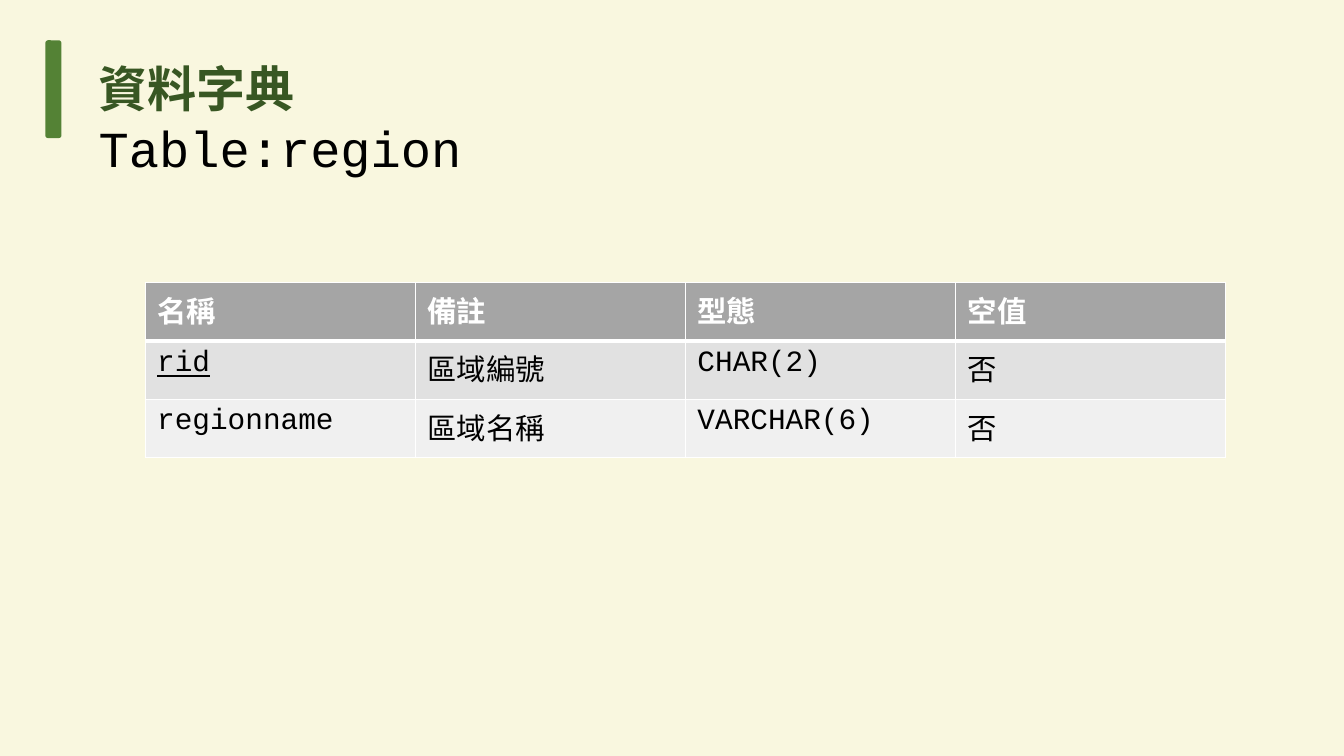
"""Build the data dictionary slide for the region table."""
from dataclasses import dataclass

from lxml import etree
from pptx import Presentation
from pptx.dml.color import RGBColor
from pptx.enum.shapes import MSO_SHAPE
from pptx.enum.text import MSO_ANCHOR, MSO_AUTO_SIZE
from pptx.oxml.ns import qn
from pptx.util import Pt

ROUNDED = MSO_SHAPE.ROUNDED_RECTANGLE
TOP = MSO_ANCHOR.TOP
NO_AUTOFIT = MSO_AUTO_SIZE.NONE

HEADINGS = ("名稱", "備註", "型態", "空值")
FIELDS = (
    ("rid", "區域編號", "CHAR(2)", "否"),
    ("regionname", "區域名稱", "VARCHAR(6)", "否"),
)
PRIMARY_KEY = "rid"


@dataclass(frozen=True)
class Theme:
    font: str = "Courier New"
    background: str = "F9F7DF"
    accent: str = "548235"
    heading: str = "385723"
    ink: str = "000000"
    white: str = "FFFFFF"
    header_fill: str = "A5A5A5"
    bands: tuple = ("E1E1E1", "F0F0F0")
    heading_size: int = 35
    subtitle_size: int = 36
    cell_size: int = 21
    rule: int = 1
    header_rule: int = 3


class SlideBuilder:
    def __init__(self, slide, theme):
        self.slide = slide
        self.theme = theme
        self.paint(slide.background, theme.background)

    def paint(self, target, color):
        target.fill.solid()
        target.fill.fore_color.rgb = RGBColor.from_string(color)

    def style(self, run, size, color, bold=False):
        run.font.name = self.theme.font
        run.font.size = Pt(size)
        run.font.bold = bold
        run.font.color.rgb = RGBColor.from_string(color)

    def title(self, heading, subtitle, left, top, width, height):
        box = self.slide.shapes.add_textbox(Pt(left), Pt(top), Pt(width), Pt(height))
        frame = box.text_frame
        frame.word_wrap = False
        frame.auto_size = NO_AUTOFIT
        frame.vertical_anchor = TOP
        frame.text = f"{heading}\v{subtitle}"
        heading_run, subtitle_run = frame.paragraphs[0].runs
        self.style(heading_run, self.theme.heading_size, self.theme.heading, True)
        self.style(subtitle_run, self.theme.subtitle_size, self.theme.ink)

    def bar(self, left, top, width, height):
        accent = self.slide.shapes.add_shape(
            ROUNDED, Pt(left), Pt(top), Pt(width), Pt(height))
        accent.shadow.inherit = False
        self.paint(accent, self.theme.accent)
        accent.line.fill.background()

    def border(self, cell, side, weight):
        properties = cell._tc.get_or_add_tcPr()
        edge = etree.SubElement(properties, qn(f"a:ln{side}"), w=str(Pt(weight)))
        fill = etree.SubElement(edge, qn("a:solidFill"))
        etree.SubElement(fill, qn("a:srgbClr"), val=self.theme.white)

    def cell(self, cell, text, row):
        theme = self.theme
        is_header = row == 0
        cell.text_frame.text = text
        run = cell.text_frame.paragraphs[0].runs[0]
        self.style(run, theme.cell_size, theme.white if is_header else theme.ink, is_header)
        if text == PRIMARY_KEY:
            run.font.underline = True
        cell.margin_left = cell.margin_right = Pt(8.64)
        cell.margin_top = cell.margin_bottom = Pt(4.32)
        cell.vertical_anchor = TOP
        weights = {
            "L": theme.rule,
            "R": theme.rule,
            "T": theme.header_rule if row == 1 else theme.rule,
            "B": theme.header_rule if is_header else theme.rule,
        }
        for side, weight in weights.items():
            self.border(cell, side, weight)
        self.paint(cell, theme.header_fill if is_header else theme.bands[(row - 1) % 2])

    def table(self, records, left, top, column_width, row_height):
        rows, columns = len(records), len(records[0])
        grid = self.slide.shapes.add_table(
            rows, columns, Pt(left), Pt(top),
            Pt(column_width * columns), Pt(row_height * rows)).table
        for column in grid.columns:
            column.width = Pt(column_width)
        for row, record in enumerate(records):
            grid.rows[row].height = Pt(row_height)
            for column, text in enumerate(record):
                self.cell(grid.cell(row, column), text, row)


def main():
    deck = Presentation()
    deck.slide_width, deck.slide_height = Pt(960), Pt(540)
    builder = SlideBuilder(deck.slides.add_slide(deck.slide_layouts[6]), Theme())
    builder.title("資料字典", "Table:region", 63.36, 38.16, 434.16, 51.12)
    builder.table((HEADINGS, *FIELDS), 103.68, 201.6, 192.96, 41.76)
    builder.bar(32.4, 28.8, 11.52, 69.84)
    deck.save("out.pptx")


if __name__ == "__main__":
    main()
